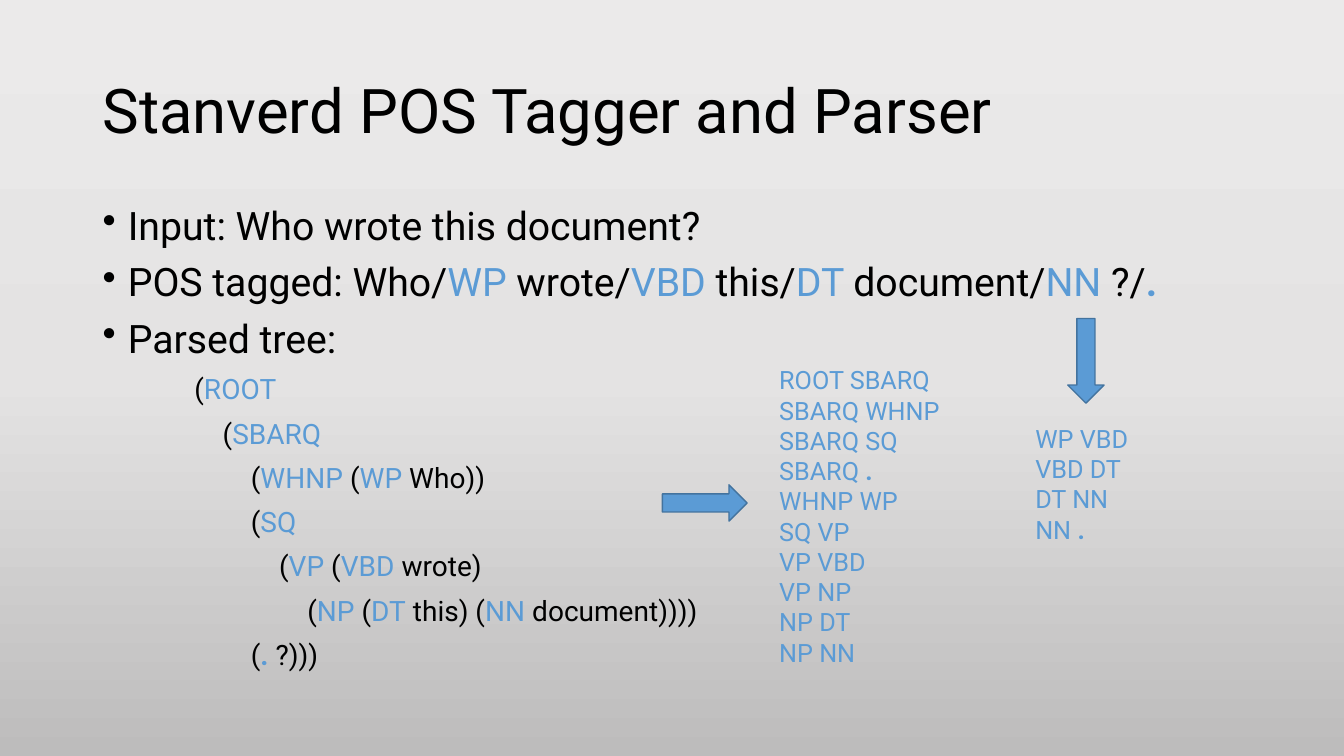
from copy import deepcopy

from lxml.etree import SubElement
from pptx import Presentation
from pptx.dml.color import RGBColor
from pptx.enum.shapes import MSO_SHAPE as Shape
from pptx.enum.text import MSO_ANCHOR as Anchor
from pptx.oxml.ns import qn
from pptx.util import Inches, Pt

FONT = "Roboto"
BLACK, BLUE, DARK_BLUE = "000000", "5B9BD5", "43739E"
BACKDROP = [(0, "EBEAEA"), (0.5, "E4E3E3"), (1, "BDBCBC")]

# Bars switch between plain text and tags.
STEPS = [
    "Input: Who wrote this document?",
    "POS tagged: Who/|WP| wrote/|VBD |this/|DT |document/|NN |?/|.",
    "Parsed tree:",
]
TREE = [
    (0, "(|ROOT"),
    (1, "(|SBARQ"),
    (2, "(|WHNP| (|WP| Who))"),
    (2, "(|SQ"),
    (3, "(|VP| (|VBD| wrote)"),
    (4, "(|NP| (|DT| this) (|NN| document))))"),
    (2, "(|. |?)))"),
]
TREE_PAIRS = ["ROOT SBARQ", "SBARQ WHNP", "SBARQ SQ", "SBARQ |.", "WHNP WP",
              "SQ VP", "VP VBD", "VP NP", "NP DT", "NP NN"]
TAG_PAIRS = ["WP VBD", "VBD DT", "DT NN", "NN| ."]


def rgb(value):
    """Turn a hex string into a colour."""
    return RGBColor.from_string(value)


def add_frame(page, box, anchor=Anchor.TOP):
    """Add a wrapping text box at box and return its text frame."""
    frame = page.shapes.add_textbox(*map(Inches, box)).text_frame
    frame.word_wrap = True
    frame.vertical_anchor = anchor
    return frame


def write(frame, text, size=18, color=BLACK, spacing=1.0, before=0,
          indent=0, bullet=False):
    """Write one paragraph; tags between bars are blue, lone dots bold."""
    first = frame.paragraphs[0]
    para = frame.add_paragraph() if first.runs else first
    para.line_spacing = spacing
    para.space_before = Pt(before)
    props = para._p.get_or_add_pPr()
    props.set("marL", str(Inches(indent)))
    if bullet:
        props.set("indent", str(-Inches(indent)))
        SubElement(props, qn("a:buChar"), char="\u2022")
    for index, piece in enumerate(text.split("|")):
        span = para.add_run()
        span.text = piece
        span.font.name = FONT
        span.font.size = Pt(size)
        span.font.bold = piece.strip() == "."
        span.font.color.rgb = rgb(BLUE if index % 2 else color)


def paint_background(page):
    """Fill the page with the vertical grey gradient."""
    fill = page.background.fill
    fill.gradient()
    stops = next(page._element.iter(qn("a:gsLst")))
    stops.append(deepcopy(stops[-1]))
    for stop, (position, color) in zip(fill.gradient_stops, BACKDROP):
        stop.position = position
        stop.color.rgb = rgb(color)
    fill.gradient_angle = 270


def add_title(page, box):
    """Add the slide title."""
    write(add_frame(page, box, Anchor.MIDDLE),
          "Stanverd POS Tagger and Parser", size=44, spacing=0.9)


def add_body(page, box):
    """Add the bulleted steps and the parse tree below them."""
    frame = add_frame(page, box)
    for step in STEPS:
        write(frame, step, size=28, spacing=0.9, before=10,
              indent=0.25, bullet=True)
    for depth, node in TREE:
        write(frame, node, size=20, spacing=0.9, before=10,
              indent=0.91 + 0.28 * depth)


def add_pairs(page, box, pairs):
    """Add a blue list of pairs, one a line."""
    frame = add_frame(page, box)
    for pair in pairs:
        write(frame, pair, color=BLUE)


def add_arrow(page, box, rotation=0):
    """Add a block arrow pointing right, turned by rotation."""
    arrow = page.shapes.add_shape(Shape.RIGHT_ARROW, *map(Inches, box))
    arrow.rotation = rotation
    arrow.shadow.inherit = False
    arrow.fill.solid()
    arrow.fill.fore_color.rgb = rgb(BLUE)
    arrow.line.color.rgb = rgb(DARK_BLUE)
    arrow.line.width = Pt(1)


def build():
    """Build and save the deck."""
    deck = Presentation()
    deck.slide_width, deck.slide_height = Inches(13.33), Inches(7.5)
    page = deck.slides.add_slide(deck.slide_layouts[6])
    paint_background(page)
    add_title(page, (0.92, 0.4, 11.5, 1.45))
    add_body(page, (0.92, 2, 11.5, 4.76))
    add_arrow(page, (6.57, 4.81, 0.84, 0.36))
    add_pairs(page, (7.63, 3.57, 1.9, 3.43), TREE_PAIRS)
    add_arrow(page, (10.35, 3.4, 0.84, 0.36), rotation=90)
    add_pairs(page, (10.17, 4.15, 1.2, 1.31), TAG_PAIRS)
    deck.save("out.pptx")


build()
